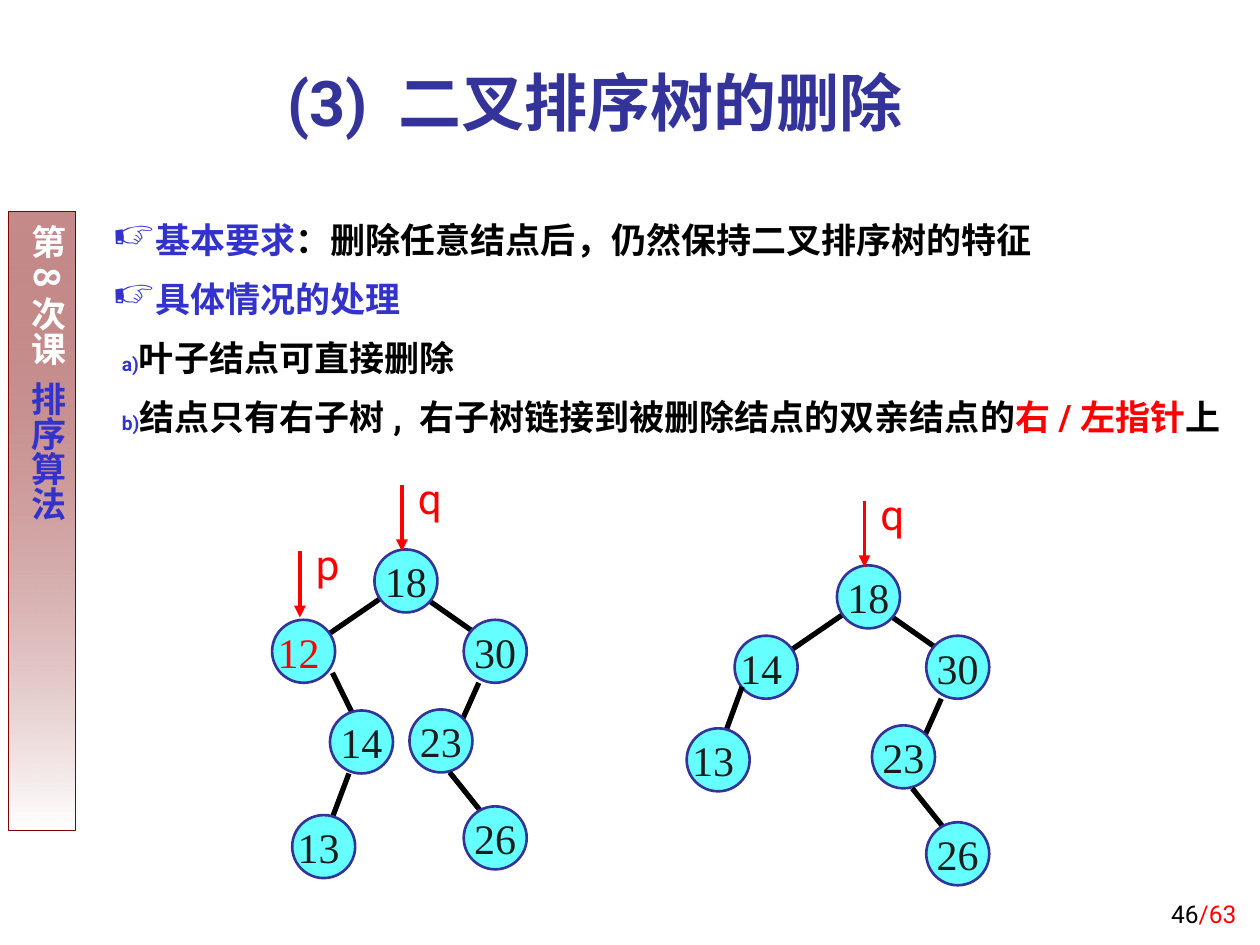
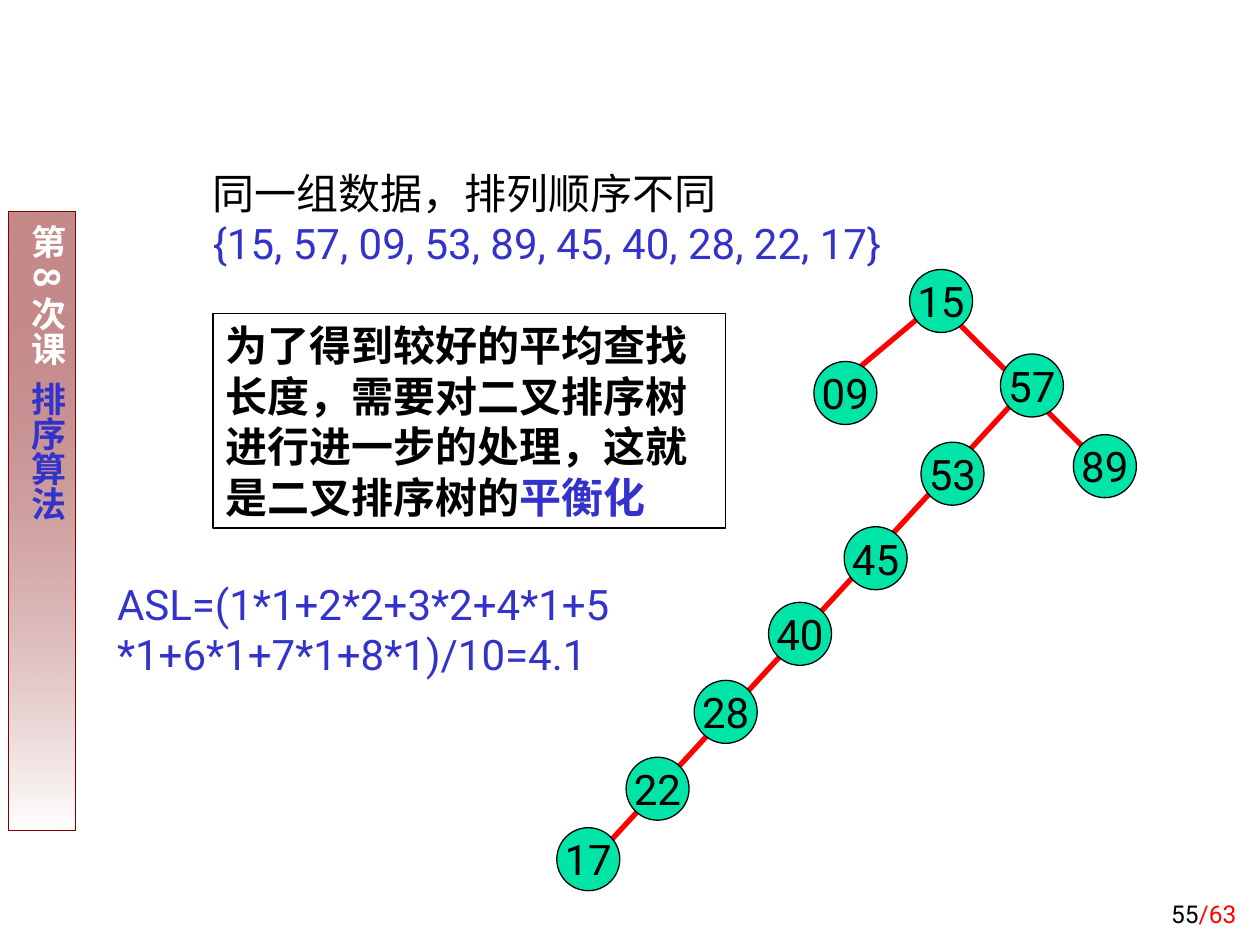
from lxml.etree import SubElement
from pptx import Presentation
from pptx.dml.color import RGBColor
from pptx.enum.shapes import MSO_CONNECTOR, MSO_SHAPE
from pptx.enum.text import MSO_ANCHOR, PP_ALIGN
from pptx.oxml.ns import qn
from pptx.util import Pt

BLUE, NAVY, RED, BLACK, WHITE = "3333CC", "333399", "FF0000", "000000", "FFFFFF"
MAROON, INK, CYAN, GREEN = "800000", "1C1C1C", "66FFFF", "00E4A8"
NODE = 36


def rgb(color):
    return RGBColor.from_string(color)


def add_run(p, text, size=24, color=BLACK, bold=False, font="Roboto", spacing=None):
    r = p.add_run()
    r.text = text
    r.font.size, r.font.bold, r.font.name = Pt(size), bold, font
    r.font.color.rgb = rgb(color)
    rPr = r.font._element
    SubElement(rPr, qn("a:ea")).set("typeface", font)
    if spacing:
        rPr.set("spc", str(spacing * 100))


def add_bullet(p, kind, size, **attrs):
    pPr = p._p.get_or_add_pPr()
    clr = SubElement(pPr, qn("a:buClr"))
    SubElement(clr, qn("a:srgbClr")).set("val", BLUE)
    SubElement(pPr, qn("a:buSzPct")).set("val", str(size * 1000))
    bu = SubElement(pPr, qn(kind))
    for name, value in attrs.items():
        bu.set(name, value)


class Deck:
    """Holds the lecture style and the slide being built."""

    def __init__(self):
        self.prs = Presentation()
        self.prs.slide_width, self.prs.slide_height = Pt(720), Pt(540)

    def slide(self, number):
        self.s = self.prs.slides.add_slide(self.prs.slide_layouts[6])
        self.chapter_band()
        self.text(563.8, 498.2, 149.8, 36,
                  [[(str(number), {}), ("/63", {"color": RED})]],
                  size=14, align=PP_ALIGN.RIGHT, anchor=MSO_ANCHOR.BOTTOM)

    def shape(self, kind, x, y, w, h, fill=None, line=None, width=0.75):
        sp = self.s.shapes.add_shape(kind, Pt(x), Pt(y), Pt(w), Pt(h))
        sp.shadow.inherit = False
        if fill:
            sp.fill.solid()
            sp.fill.fore_color.rgb = rgb(fill)
        else:
            sp.fill.background()
        if line:
            sp.line.color.rgb = rgb(line)
            sp.line.width = Pt(width)
        else:
            sp.line.fill.background()
        return sp

    def fill_text(self, sp, paragraphs, align=PP_ALIGN.LEFT, anchor=MSO_ANCHOR.TOP,
                  wrap=True, **fmt):
        tf = sp.text_frame
        tf.word_wrap, tf.vertical_anchor = wrap, anchor
        for i, runs in enumerate(paragraphs):
            p = tf.add_paragraph() if i else tf.paragraphs[0]
            p.alignment = align
            for text, own in runs:
                add_run(p, text, **{**fmt, **own})
        return tf

    def text(self, x, y, w, h, paragraphs, **fmt):
        sp = self.s.shapes.add_textbox(Pt(x), Pt(y), Pt(w), Pt(h))
        return self.fill_text(sp, paragraphs, **fmt)

    def chapter_band(self):
        sp = self.shape(MSO_SHAPE.RECTANGLE, 5, 121, 38.2, 353.5, line=MAROON)
        sp.fill.gradient()
        sp.fill.gradient_angle = 270
        for stop, color in zip(sp.fill.gradient_stops, (MAROON, WHITE)):
            stop.color.rgb = rgb(color)
        first = next(sp._element.iter(qn("a:srgbClr")))
        SubElement(first, qn("a:alpha")).set("val", "46000")
        tf = self.fill_text(sp, [[("第8次课", {}), (" ", {"spacing": 4}),
                                  ("排序算法", {"color": BLUE})]],
                            align=PP_ALIGN.CENTER, size=20, color=WHITE, bold=True,
                            font="Noto Sans CJK SC")
        tf.margin_left = tf.margin_right = Pt(3.6)
        tf.margin_top = tf.margin_bottom = Pt(7.2)
        tf._txBody.bodyPr.set("vert", "eaVert")

    def title(self, text):
        self.text(121.7, 26, 436.3, 56.9, [[(text, {})]], size=36, color=NAVY,
                  bold=True, align=PP_ALIGN.CENTER, anchor=MSO_ANCHOR.BOTTOM)

    def outline(self, points, cases):
        sp = self.shape(MSO_SHAPE.RECTANGLE, 48.2, 116.6, 671.8, 151.2, fill=WHITE)
        tf = self.fill_text(sp, points + cases, size=20, bold=True)
        for i, p in enumerate(tf.paragraphs):
            p.line_spacing = 1.2
            p.space_before = Pt(5 if i else 0)
            pPr = p._p.get_or_add_pPr()
            if i < len(points):
                pPr.set("marL", str(Pt(33.5)))
                pPr.set("indent", str(Pt(-24.5)))
                add_bullet(p, "a:buChar", 120, char="☞")
            else:
                p.level = 1
                pPr.set("marL", str(Pt(14.4)))
                pPr.set("indent", "0")
                add_bullet(p, "a:buAutoNum", 55, type="alphaLcParenR")

    def line(self, x1, y1, x2, y2, color=BLACK, width=3, arrow=False):
        cx = self.s.shapes.add_connector(MSO_CONNECTOR.STRAIGHT,
                                         Pt(x1), Pt(y1), Pt(x2), Pt(y2))
        cx.line.color.rgb = rgb(color)
        cx.line.width = Pt(width)
        if arrow:
            SubElement(cx.line._get_or_add_ln(), qn("a:tailEnd")).set("type", "triangle")
        SubElement(cx._element.spPr, qn("a:effectLst"))

    def node(self, label, x, y, fill=GREEN, line=BLACK, width=0.75, shift=0, **fmt):
        sp = self.shape(MSO_SHAPE.OVAL, x, y, NODE, NODE, fill, line, width)
        tf = self.fill_text(sp, [[(label, {})]], align=PP_ALIGN.CENTER,
                            anchor=MSO_ANCHOR.MIDDLE, wrap=False, **fmt)
        tf.margin_left, tf.margin_right = Pt(4 - shift), Pt(4 + shift)

    def pointer(self, name, x, y):
        self.line(x, y, x, y + 38, RED, 2.25, arrow=True)
        self.text(x + 2, y - 10.5, 28.8, 36, [[(name, {})]], color=RED, wrap=False)

    def search_tree(self, nodes, pointers, dx=0, dy=0):
        for label, (x, y), edge, fmt in nodes:
            if edge:
                x1, y1, x2, y2 = edge
                self.line(x1 + dx, y1 + dy, x2 + dx, y2 + dy)
            self.node(label, x + dx, y + dy, CYAN, NAVY, 1.5,
                      **{"color": INK, "font": "Times New Roman", **fmt})
        for name, x, y in pointers:
            self.pointer(name, x + dx, y + dy)


def deletion_slide(deck):
    deck.slide(46)
    deck.title("(3) 二叉排序树的删除")
    blue, red = {"color": BLUE}, {"color": RED}
    deck.outline(
        [[("基本要求", blue), ("：删除任意结点后，仍然保持二叉排序树的特征", {})],
         [("具体情况的处理", blue)]],
        [[("叶子结点可直接删除", {})],
         [("结点只有右子树, 右子树链接到被删除结点的双亲结点的", {}),
          ("右/左指针", red), ("上", {})]])
    right_side = [
        ("30", (265, 354.2), (243.4, 342, 272.2, 362.2), {}),
        ("23", (234, 405.4), (273.6, 390.2, 258.5, 424), {}),
        ("26", (265, 460.8), (257, 441.4, 279.4, 469.4), {})]
    root = [("18", (214, 314), None, {})]
    left_at, left_edge = (155.5, 354.2), (217.4, 342, 188, 362.2)
    left = {"shift": 2.8}
    before = [
        ("12", left_at, left_edge, {**left, **red}),
        ("14", (188.6, 406), (190, 384.5, 205.2, 415.4), {}),
        ("13", (167, 465.8), (199.4, 442, 188, 472.3), left)]
    after = [
        ("14", left_at, left_edge, left),
        ("13", (128.1, 407.1), (159.8, 383.3, 149, 412.8), left)]
    q = ("q", 229.7, 277)
    deck.search_tree(right_side + before + root, [q, ("p", 171.4, 314.8)])
    deck.search_tree(right_side + after + root, [q], dx=264.3, dy=9.1)


def balance_slide(deck):
    deck.slide(55)
    deck.text(114.5, 92.2, 421.2, 64.8,
              [[("同一组数据，排列顺序不同", {})],
               [("{15, 57, 09, 53, 89, 45, 40, 28, 22, 17}", {"color": BLUE})]],
              wrap=False)
    deck.text(59.8, 326.9, 300.2, 93.6,
              [[("ASL=(1*1+2*2+3*2+4*1+5*1+6*1+7*1+8*1)/10=4.1", {})]], color=BLUE)
    for edge in [(532, 175.7, 488.2, 212.4), (541.4, 178.6, 632.2, 268.6),
                 (584.6, 223.9, 332.6, 498.2)]:
        deck.line(*edge, color=RED)
    for label, x, y in [("15", 519.8, 154), ("09", 465.1, 206.6), ("57", 571.7, 202.3),
                        ("89", 613.4, 248.4), ("53", 526.3, 252.7), ("45", 482.4, 301),
                        ("40", 439.2, 344.2), ("28", 396.7, 388.8),
                        ("22", 357.8, 432.7), ("17", 318.2, 473)]:
        deck.node(label, x, y)
    note = deck.shape(MSO_SHAPE.RECTANGLE, 121.7, 179.3, 293, 122.4, line=BLACK)
    deck.fill_text(note, [[
        ("为了得到较好的平均查找长度，需要对二叉排序树进行进一步的处理，"
         "这就是二叉排序树的", {}), ("平衡化", {"color": BLUE})]], bold=True)


def main():
    deck = Deck()
    deletion_slide(deck)
    balance_slide(deck)
    deck.prs.save("out.pptx")


if __name__ == "__main__":
    main()
